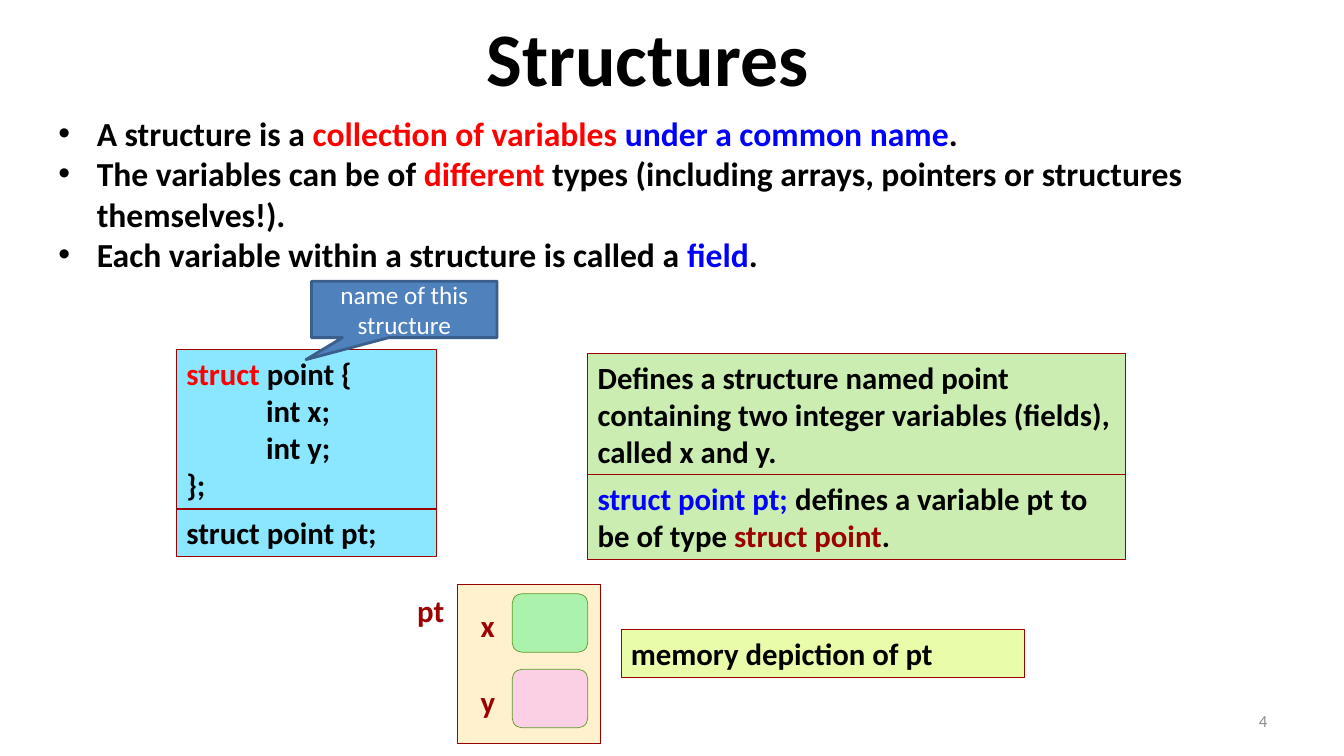
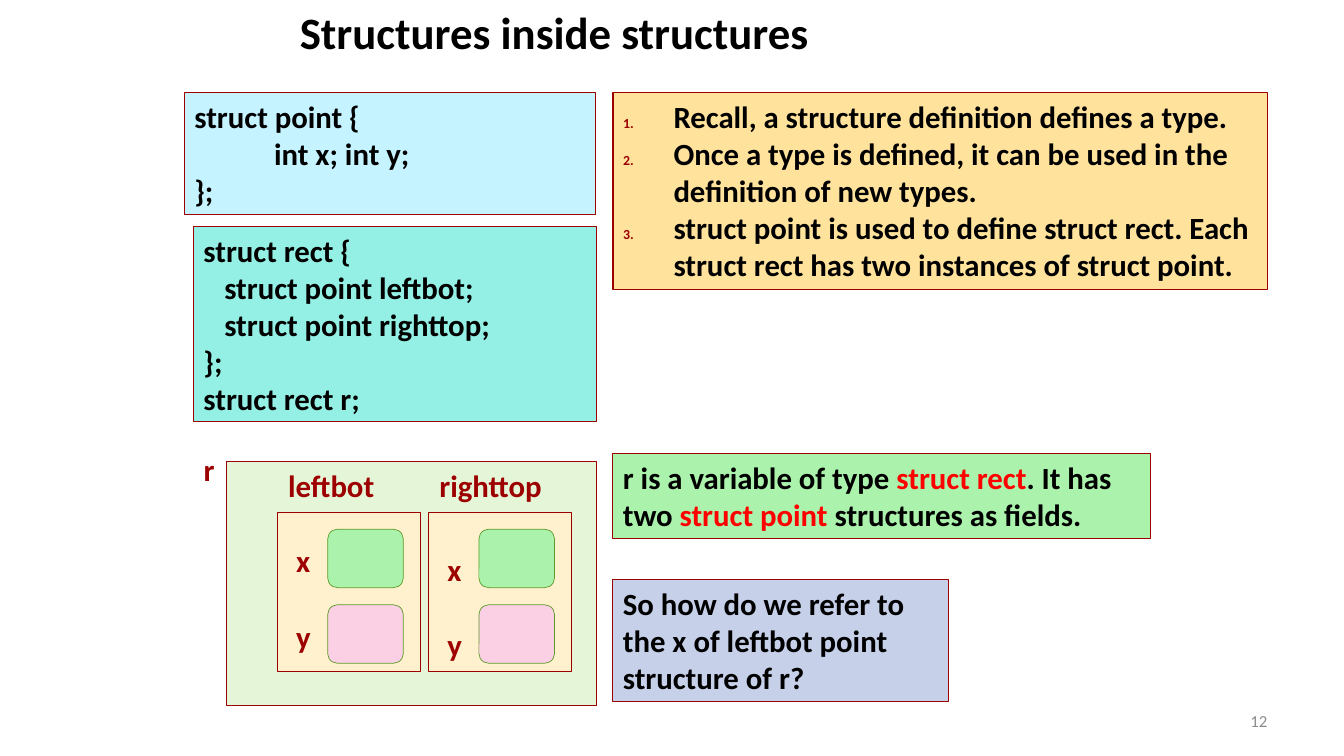
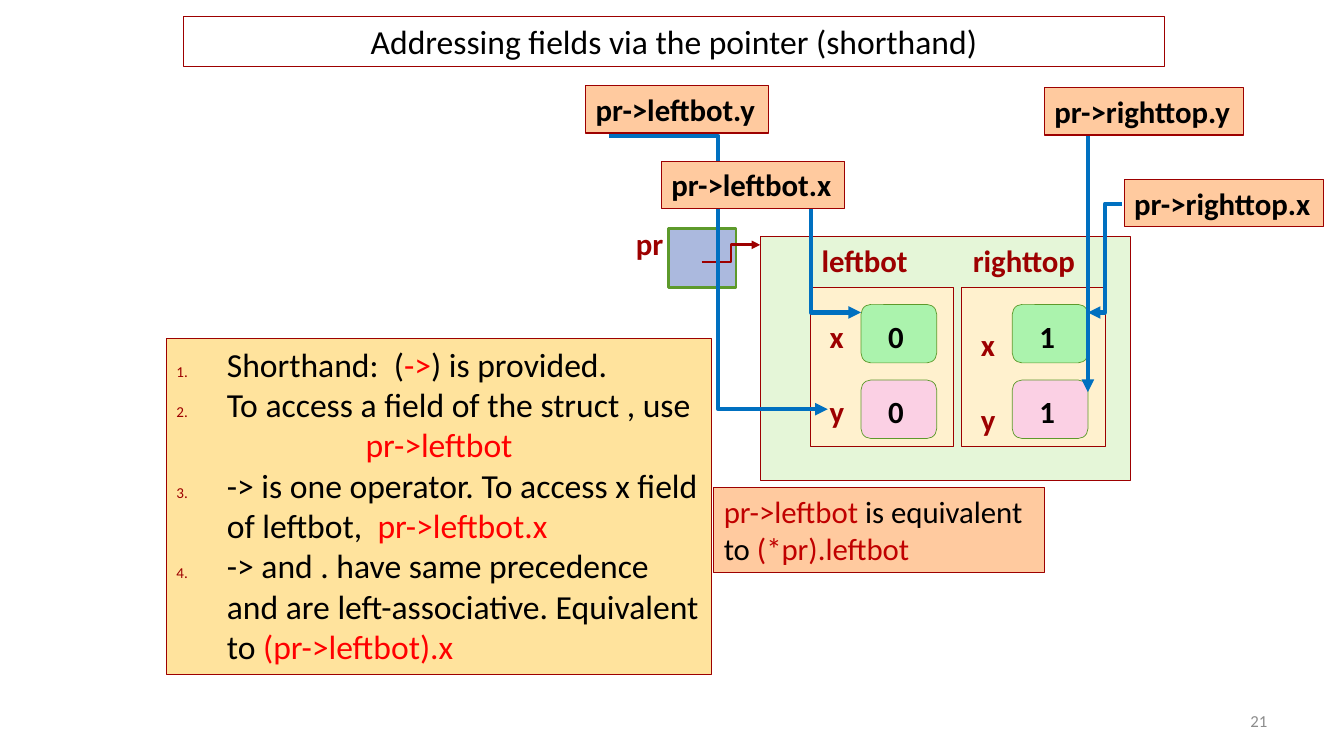
from lxml.etree import SubElement
from pptx import Presentation
from pptx.dml.color import RGBColor
from pptx.enum.shapes import MSO_CONNECTOR as LINK, MSO_SHAPE as SHAPE
from pptx.enum.text import MSO_ANCHOR as ANCHOR, MSO_AUTO_SIZE as FIT, PP_ALIGN as ALIGN
from pptx.oxml.ns import qn
from pptx.util import Inches, Pt

color = RGBColor.from_string
FONT = "Calibri"
BLACK, WHITE, GRAY = "000000", "FFFFFF", "8C8C8C"
RED, MAROON, CRIMSON, BLUE = "FF0000", "9D0000", "C00000", "0000FF"
LEAF, GREEN, PINK, CREAM, MINT = "5D9A2B", "ABF3AD", "FBD0E4", "FFF1CE", "E5F6D8"
CYAN, LIME, AMBER, PEACH, ARROW = "8BE6FF", "CCEDB1", "FFE39D", "FFCA9F", "0070C0"


def write(frame, lines, size=22, bold=True, ink=BLACK, align=ALIGN.LEFT,
          anchor=ANCHOR.TOP, wrap=True):
    """Fill a frame; a line is a string or a list of strings and (text, colour) pairs."""
    frame.word_wrap = wrap
    frame.auto_size = FIT.NONE
    frame.vertical_anchor = anchor
    for index, line in enumerate(lines):
        para = frame.paragraphs[0] if index == 0 else frame.add_paragraph()
        para.alignment = align
        para.space_before = Pt(0)
        for part in [line] if isinstance(line, str) else line:
            text, shade = (part, ink) if isinstance(part, str) else part
            span = para.add_run()
            span.text = text
            span.font.name = FONT
            span.font.size = Pt(size)
            span.font.bold = bold
            span.font.color.rgb = color(shade)
        if para.text.startswith("\t"):
            tabs = SubElement(para._p.get_or_add_pPr(), qn("a:tabLst"))
            SubElement(tabs, qn("a:tab"), pos=str(Inches(0.79)), algn="l")


def add_box(page, at, fill, line=MAROON, width=0.75, preset=SHAPE.RECTANGLE):
    box = page.shapes.add_shape(preset, *map(Inches, at))
    box.shadow.inherit = False
    box.fill.solid()
    box.fill.fore_color.rgb = color(fill)
    box.line.color.rgb = color(line)
    box.line.width = Pt(width)
    return box


deck = Presentation()
deck.slide_width, deck.slide_height = Inches(13.33), Inches(7.5)

# Titles, lists and page numbers
pages, titles, bodies = [], [], []
for title, title_at, size, bold, number, body_at in [
    ("Structures", (4.33, 0.06, 4.19, 1.01), 54, True, "4", (0.48, 1.07, 11.83, 1.72)),
    ("Structures inside structures", (1.75, 0, 7.5, 0.63), 32, True, "12",
     (6.08, 0.92, 6.49, 1.95)),
    ("Addressing fields via the pointer (shorthand)", (1.82, 0.16, 9.73, 0.5), 24, False, "21",
     (1.65, 3.36, 5.41, 3.33)),
]:
    page = deck.slides.add_slide(deck.slide_layouts[1])
    heading, body = page.placeholders
    for holder, at in [(heading, title_at), (body, body_at)]:
        holder.left, holder.top, holder.width, holder.height = map(Inches, at)
    write(heading.text_frame, [title], size, bold, align=ALIGN.CENTER)
    footer = page.shapes.add_textbox(*map(Inches, (9.56, 6.95, 3.11, 0.4)))
    write(footer.text_frame, [number], 12, False, GRAY, ALIGN.RIGHT, ANCHOR.MIDDLE)
    pages.append(page)
    titles.append(heading)
    bodies.append(body)
basics, nested, pointer = pages

write(bodies[0].text_frame, [
    ["A structure is a ", ("collection of variables ", RED), ("under a common name", BLUE), "."],
    ["The variables can be of ", ("different", RED),
     " types (including arrays, pointers or structures themselves!)."],
    ["Each variable within a structure is called a ", ("field", BLUE), "."],
], 24)
write(bodies[1].text_frame, [
    "Recall, a structure definition defines a type.",
    "Once a type is defined, it can be used in the definition of new types.",
    "struct point is used to define struct rect. Each struct rect has two instances of "
    "struct point.",
])
write(bodies[2].text_frame, [
    ["Shorthand:  (", ("->", RED), ") is provided."],
    "To access a field of the struct , use",
    [("pr->leftbot", RED)],
    ["-> is one operator. To access x field of leftbot,  ", ("pr->leftbot.x", RED)],
    ["-> and . have same precedence and are left-associative. Equivalent to ",
     ("(pr->leftbot).x", RED)],
], 24, False)
bodies[2].text_frame.paragraphs[2].alignment = ALIGN.CENTER

for body, indent in zip(bodies, (0.38, 0.5, 0.5)):
    for para in body.text_frame.paragraphs:
        props = para._p.get_or_add_pPr()
        props.set("marL", str(Inches(indent)))
        props.set("indent", str(-Inches(indent)))

# Numbered lists: the first number of each run, None for an unnumbered line
for body, starts in [(bodies[1], (1, 1, 1)), (bodies[2], (1, 1, None, 3, 3))]:
    body.fill.solid()
    body.fill.fore_color.rgb = color(AMBER)
    for para, start in zip(body.text_frame.paragraphs, starts):
        props = para._p.get_or_add_pPr()
        if start is None:
            SubElement(props, qn("a:buNone"))
            continue
        SubElement(SubElement(props, qn("a:buClr")), qn("a:srgbClr"), val=MAROON)
        SubElement(props, qn("a:buSzPct"), val="45000")
        SubElement(props, qn("a:buFont"), typeface=FONT)
        numbering = SubElement(props, qn("a:buAutoNum"), type="arabicPeriod")
        if start > 1:
            numbering.set("startAt", str(start))

for framed in (bodies[1], bodies[2], titles[2]):
    framed.line.color.rgb = color(MAROON)
    framed.line.width = Pt(0.75)

# Code and remarks
for page, at, fill, lines in [
    (basics, (5.83, 3.51, 5.33, 1.21), LIME,
     ["Defines a structure named point containing two integer variables (fields), "
      "called x and y."]),
    (basics, (1.75, 3.47, 2.58, 1.58), CYAN,
     [[("struct", RED), " point {"], "\tint x;", "\tint y;", "};"]),
    (basics, (1.75, 5.05, 2.58, 0.47), CYAN, ["struct point pt;"]),
    (basics, (5.83, 4.71, 5.33, 0.84), LIME,
     [[("struct point pt; ", BLUE), "defines a variable pt to be of type ",
       ("struct point", MAROON), "."]]),
    (basics, (6.16, 6.25, 4, 0.47), "E8FCAA", ["memory depiction of pt"]),
    (nested, (1.83, 0.92, 4.08, 1.21), "C5F3FF", ["struct point {", "\tint x; int y;", "};"]),
    (nested, (1.92, 2.25, 4, 1.93), "94F0E4",
     ["struct rect {", "   struct point leftbot;", "   struct point righttop;", "};",
      "struct rect r;"]),
    (nested, (6.08, 4.5, 5.33, 0.84), GREEN,
     [["r is a variable of type ", ("struct rect", RED), ". It has two ",
       ("struct point ", RED), "structures as fields."]]),
    (nested, (6.08, 5.75, 3.33, 1.21), "C7D0E9",
     ["So how do we refer to the x of leftbot point structure of r?"]),
]:
    write(add_box(page, at, fill).text_frame, lines)

equivalence = add_box(pointer, (7.08, 4.84, 3.28, 0.84), PEACH)
write(equivalence.text_frame, [[("pr->leftbot", CRIMSON), " is equivalent"],
                               ["to ", ("(*pr).leftbot", CRIMSON)]], bold=False)

callout = add_box(basics, (3.09, 2.79, 1.84, 0.56), "4F81BD", "3A5F8C", 2,
                  SHAPE.RECTANGULAR_CALLOUT)
callout.adjustments[0], callout.adjustments[1] = -0.53, 0.889
write(callout.text_frame, ["name of this structure"], 18, False, WHITE, ALIGN.CENTER,
      ANCHOR.MIDDLE)

# Memory pictures: rects hold points, points hold an x and a y cell
add_box(pointer, (6.63, 2.27, 0.67, 0.58), "ABB9DE", LEAF, 2)
labels = [(basics, "pt", 4.04, 5.82, 0.47, MAROON),
          (nested, "r", 1.92, 4.42, 0.31, MAROON),
          (pointer, "pr", 6.21, 2.18, 0.47, MAROON)]
points = [(basics, 4.54, 5.8, 0.09, 0.17, None)]
for page, left, top, values in [(nested, 2.25, 4.58, (None, None)),
                                (pointer, 7.54, 2.35, ("0", "1"))]:
    add_box(page, (left, top, 3.67, 2.42), MINT)
    for column, (name, width) in enumerate([("leftbot", 1.07), ("righttop", 1.23)]):
        shift = 0.5 + 1.5 * column
        labels.append((page, name, left + shift + 0.01, top, width, MAROON))
        points.append((page, left + shift, top + 0.5, 0.17, 0.25 + 0.08 * column,
                       values[column]))

for page, left, top, cell_gap, label_gap, value in points:
    add_box(page, (left, top, 1.42, 1.58), CREAM)
    for row, (name, fill) in enumerate([("x", GREEN), ("y", PINK)]):
        row_top = top + 0.75 * row
        add_box(page, (left + 0.5 + 0.04 * (page is basics), row_top + cell_gap, 0.75, 0.58),
                fill, LEAF, 0.5, SHAPE.ROUNDED_RECTANGLE)
        labels.append((page, name, left + 0.09 + 0.04 * (page is basics),
                       row_top + label_gap, 0.34, MAROON))
        if value:
            labels.append((page, value, left + 0.67, row_top + 0.25, 0.35, BLACK))

for page, text, left, top, width, ink in labels:
    label = page.shapes.add_textbox(*map(Inches, (left, top, width, 0.47)))
    write(label.text_frame, [text], ink=ink, wrap=False)

# Arrows to the fields
for kind, ends, ink, width in [
    (LINK.ELBOW, (6.96, 2.6, 7.54, 2.43), MAROON, 2),
    (LINK.ELBOW, (6.04, 1.35, 8.21, 4.06), ARROW, 3),
    (LINK.ELBOW, (7.54, 2.02, 8.54, 3.1), ARROW, 3),
    (LINK.ELBOW, (11.13, 2.02, 10.79, 3.1), ARROW, 3),
    (LINK.STRAIGHT, (10.79, 1.35, 10.79, 3.89), ARROW, 3),
]:
    arrow = pointer.shapes.add_connector(kind, *map(Inches, ends))
    arrow.line.color.rgb = color(ink)
    arrow.line.width = Pt(width)
    SubElement(arrow.line._get_or_add_ln(), qn("a:tailEnd"), type="triangle")
    SubElement(arrow._element.spPr, qn("a:effectLst"))

for text, left, top, width in [("pr->leftbot.y", 5.81, 0.85, 1.81),
                               ("pr->righttop.y", 10.36, 0.87, 1.97),
                               ("pr->leftbot.x", 6.56, 1.6, 1.82),
                               ("pr->righttop.x", 11.15, 1.78, 1.98)]:
    write(add_box(pointer, (left, top, width, 0.47), PEACH).text_frame, [text], wrap=False)

deck.save("out.pptx")
